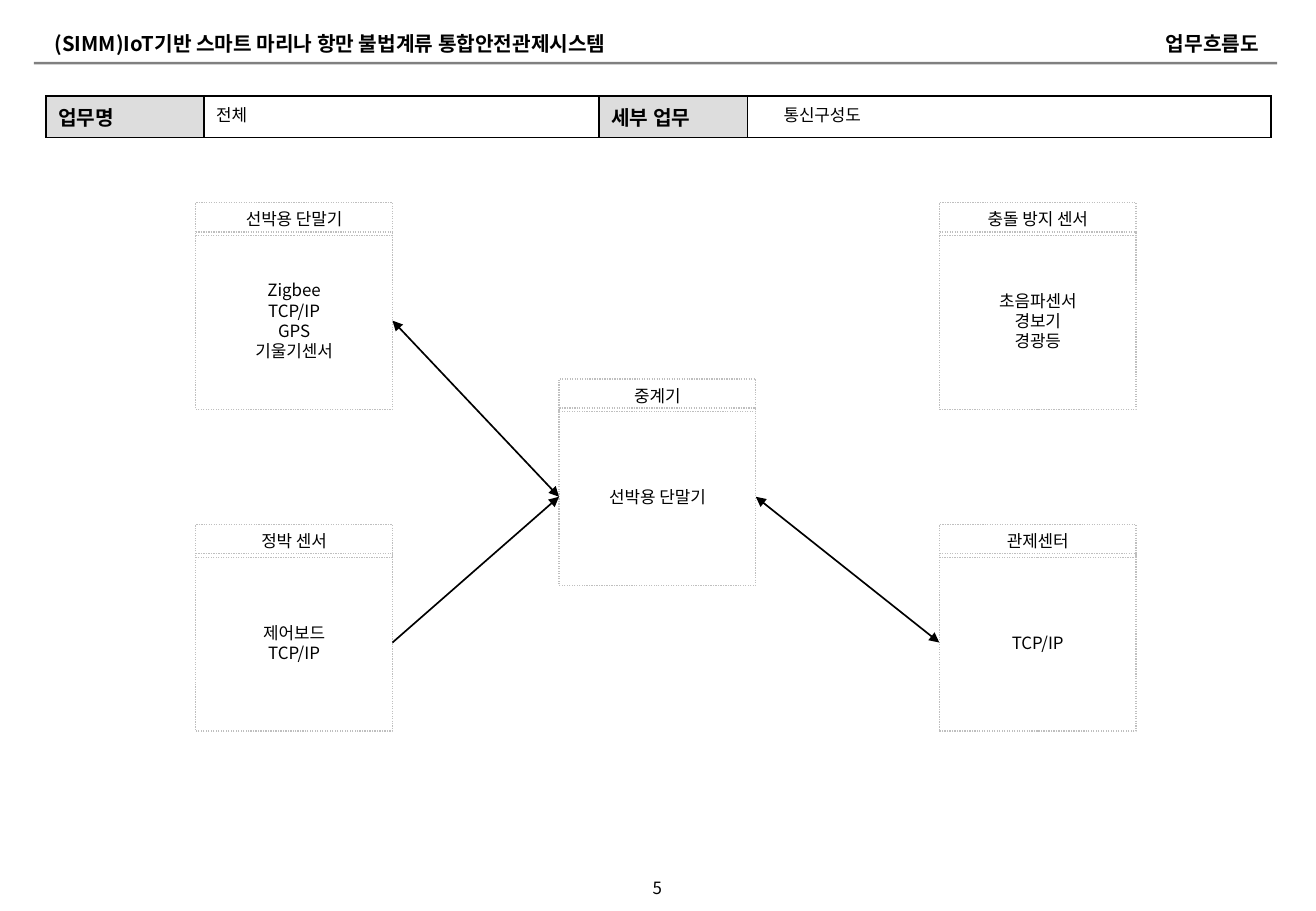
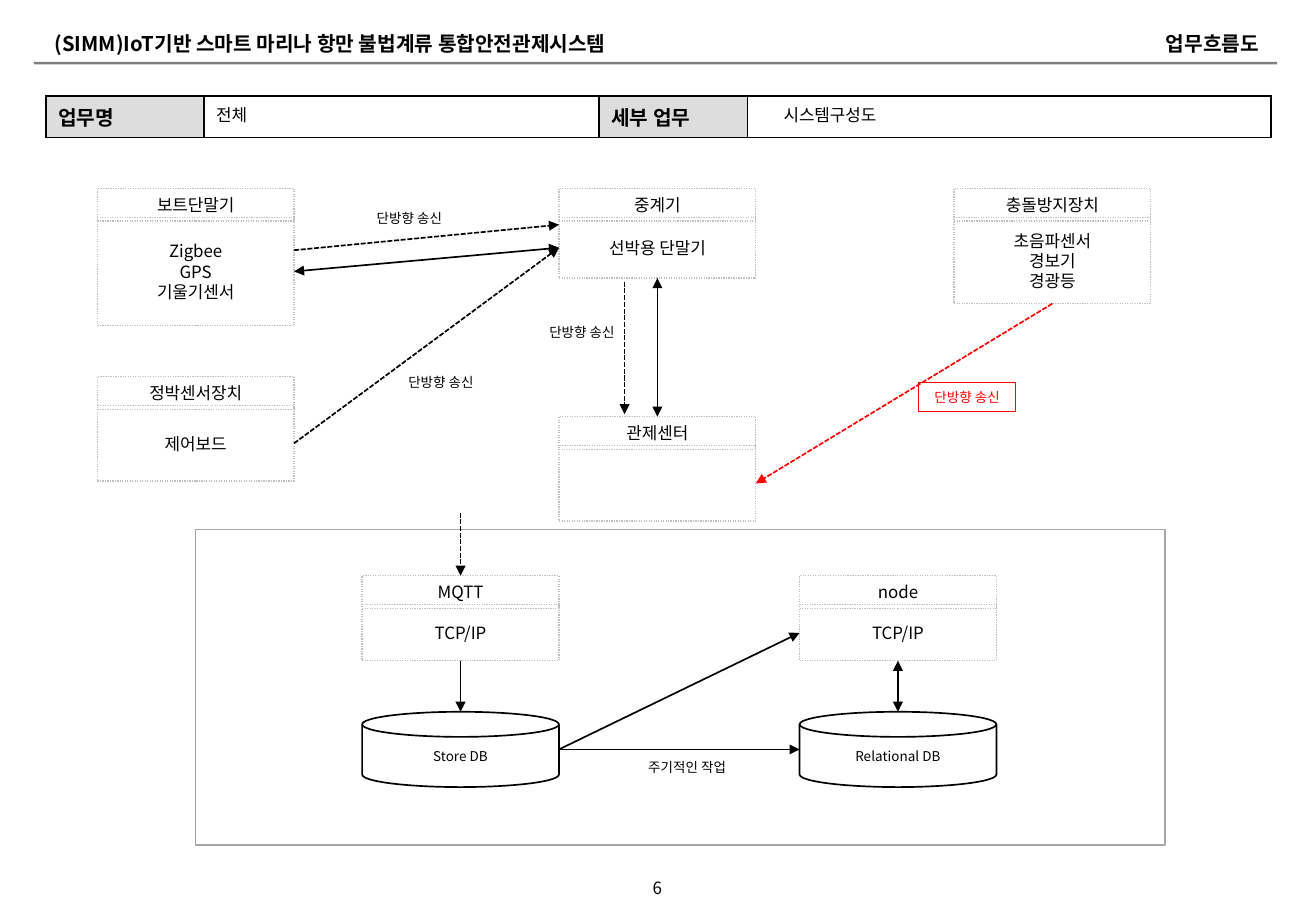
import pptx
import pptx.util
import pptx.dml.color
import pptx.enum.dml
import pptx.enum.shapes
import pptx.enum.text
import pptx.oxml
import pptx.oxml.ns
from lxml import etree

Inches, Pt = pptx.util.Inches, pptx.util.Pt
SHAPE = pptx.enum.shapes.MSO_SHAPE
DASH = pptx.enum.dml.MSO_LINE
ALIGN = pptx.enum.text.PP_ALIGN
ANCHOR = pptx.enum.text.MSO_ANCHOR
qn = pptx.oxml.ns.qn

COLORS = {"ink": "000000", "rule": "808080", "label": "DDDDDD",
          "box": "BFBFBF", "frame": "A6A6A6", "alert": "FF0000"}
FONT, LABEL_FONT = "Noto Sans CJK KR", "Arial Narrow"
W, H = 10.83, 7.5
BOX_W, HEAD_H, HEAD_STEP = 1.62, 0.27, 0.24
TOP, LEFT, BOTTOM, RIGHT = range(4)
SYSTEM = "(SIMM)IoT기반 스마트 마리나 항만 불박계류 통합안전관제시스템".replace("불박", "불법")
ONE_WAY = "단방향 송신"


def rgb(name):
    return pptx.dml.color.RGBColor.from_string(COLORS[name])


def style(p, size, color="ink", bold=False, align=ALIGN.LEFT, font=FONT):
    p.alignment = align
    p.font.size, p.font.bold, p.font.name = Pt(size), bold, font
    p.font.color.rgb = rgb(color)
    defaults = p._p.pPr.find(qn("a:defRPr"))
    etree.SubElement(defaults, qn("a:ea"), typeface=FONT)


def write(sp, lines, size=10, anchor=ANCHOR.TOP, wrap=True, **look):
    tf = sp.text_frame
    tf.word_wrap, tf.vertical_anchor = wrap, anchor
    tf.auto_size = pptx.enum.text.MSO_AUTO_SIZE.NONE
    tf.margin_left = tf.margin_right = Inches(0.1)
    tf.margin_top = tf.margin_bottom = Inches(0.05)
    tf.text = "\n".join(lines)
    for p in tf.paragraphs:
        style(p, size, **look)


def text(s, box, line, **look):
    sp = s.shapes.add_textbox(*map(Inches, box))
    write(sp, [line], **look)
    return sp


def outline(s, box, color, width=1, dash=None, kind=SHAPE.RECTANGLE):
    sp = s.shapes.add_shape(kind, *map(Inches, box))
    sp.shadow.inherit = False
    sp.fill.background()
    sp.line.color.rgb, sp.line.width = rgb(color), Pt(width)
    if dash:
        sp.line.dash_style = dash
    return sp


def node(s, x, y, body_h, title, lines):
    """A heading over a body; returns both shapes."""
    head = outline(s, (x, y, BOX_W, HEAD_H), "box", 0.75, DASH.ROUND_DOT)
    write(head, [title], anchor=ANCHOR.MIDDLE, align=ALIGN.CENTER)
    body = outline(s, (x, y + HEAD_STEP, BOX_W, body_h), "box", 0.75, DASH.ROUND_DOT)
    if lines:
        write(body, lines, anchor=ANCHOR.MIDDLE, wrap=False, align=ALIGN.CENTER)
    return head, body


def disk(s, x, y, name):
    sp = outline(s, (x, y, BOX_W, 0.62), "ink", kind=SHAPE.FLOWCHART_MAGNETIC_DISK)
    write(sp, [name], size=8, anchor=ANCHOR.MIDDLE, wrap=False, align=ALIGN.CENTER)
    return sp


def caption(s, x, y, line, w=0.8, color="ink"):
    text(s, (x, y, w, 0.24), line, size=8, wrap=False, color=color, align=ALIGN.CENTER)


def point(end):
    """Position of an end given as (x, y) inches or (shape, side)."""
    if isinstance(end[0], (int, float)):
        return Inches(end[0]), Inches(end[1])
    sp, side = end
    across = {LEFT: 0, RIGHT: 2}.get(side, 1)
    down = {TOP: 0, BOTTOM: 2}.get(side, 1)
    return sp.left + sp.width * across // 2, sp.top + sp.height * down // 2


def arrow(s, start, end, both=False, dashed=False, color="ink"):
    c = s.shapes.add_connector(pptx.enum.shapes.MSO_CONNECTOR.STRAIGHT,
                               *point(start), *point(end))
    c.line.color.rgb, c.line.width = rgb(color), Pt(1)
    if dashed:
        c.line.dash_style = DASH.SQUARE_DOT
    spPr = c._element.spPr
    ln = spPr.find(qn("a:ln"))
    for tag in ["a:headEnd", "a:tailEnd"] if both else ["a:tailEnd"]:
        etree.SubElement(ln, qn(tag), type="triangle")
    etree.SubElement(spPr, qn("a:effectLst"))


def task_table(s, box, task, detail):
    x, y, w, h = box
    table_shape = s.shapes.add_table(1, 4, *map(Inches, box))
    table = table_shape.table
    table.first_row = table.horz_banding = False
    widths = [1.3, 3.25, 1.22, 4.31]
    for col, width in zip(table.columns, widths):
        col.width = Inches(width)
    for cell, label in zip(table.rows[0].cells, ["업무명", "", "세부 업무 ", ""]):
        cell.text = label
        p = cell.text_frame.paragraphs[0]
        style(p, 12, bold=True, font=LABEL_FONT)
        p.space_before = Pt(2.4)
        tcPr = cell._tc.get_or_add_tcPr()
        for edge in ("L", "R", "T", "B"):
            ln = etree.SubElement(tcPr, qn("a:ln" + edge), w=str(Pt(1)))
            fill = etree.SubElement(ln, qn("a:solidFill"))
            etree.SubElement(fill, qn("a:srgbClr"), val=COLORS["ink"])
        if label:
            cell.fill.solid()
            cell.fill.fore_color.rgb = rgb("label")
        else:
            cell.fill.background()
    text(s, (x + widths[0], y + 0.02, 2.66, 0.27), task)
    text(s, (x + sum(widths[:3]) + 0.2, y + 0.02, 3.7, 0.27), detail)


def page(prs, number, detail):
    """Title line, rule, task table and page number of every slide."""
    s = prs.slides.add_slide(prs.slide_layouts[5])
    title = s.shapes.title
    title.left, title.top, title.width, title.height = map(Inches, (0.35, 0.21, 6.97, 0.3))
    write(title, [SYSTEM], size=12, bold=True)
    text(s, (5.34, 0.21, 5.12, 0.3), "업무흐름도", size=12, bold=True, align=ALIGN.RIGHT)
    rule = s.shapes.add_shape(SHAPE.RECTANGLE, *map(Inches, (0.28, 0.51, 10.23, 0.02)))
    rule.shadow.inherit = False
    rule.fill.solid()
    rule.fill.fore_color.rgb = rgb("rule")
    rule.line.fill.background()
    task_table(s, (0.38, 0.79, 10.08, 0.3), "전체", detail)
    text(s, (5.22, 7.18, 0.38, 0.27), str(number), wrap=False, align=ALIGN.CENTER)
    return s


def communication(s, box):
    x, y, w, h = box
    right, middle, low = x + w - BOX_W, x + 2.99, y + 2.65
    body_h = h - 2.65 - HEAD_STEP
    _, boat = node(s, x, y, body_h, "선박용 단말기",
                   ["Zigbee", "TCP/IP", "GPS", "기울기센서"])
    node(s, right, y, body_h, "충돌 방지 센서", ["초음파센서", "경보기", "경광등"])
    _, mooring = node(s, x, low, body_h, "정박 센서", ["제어보드", "TCP/IP"])
    _, center = node(s, right, low, body_h, "관제센터", ["TCP/IP"])
    _, relay = node(s, middle, y + 1.45, body_h, "중계기", ["선박용 단말기"])
    arrow(s, (boat, RIGHT), (relay, LEFT), both=True)
    arrow(s, (mooring, RIGHT), (relay, LEFT))
    arrow(s, (relay, RIGHT), (center, LEFT), both=True)


def devices(s, box):
    x, y, w, h = box
    middle, right = x + 3.8, x + w - BOX_W
    _, boat = node(s, x, y, 0.89, "보트단말기", ["Zigbee", "GPS", "기울기센서"])
    _, crash = node(s, right, y, 0.71, "충돌방지장치", ["초음파센서", "경보기", "경광등"])
    _, mooring = node(s, x, y + 1.55, 0.62, "정박센서장치", ["제어보드"])
    center_head, center = node(s, middle, y + 1.88, 0.62, "관제센터", [])
    _, relay = node(s, middle, y, 0.5, "중계기", ["선박용 단말기"])
    # Two-way links
    arrow(s, (boat, RIGHT), (relay, LEFT), both=True)
    arrow(s, (relay, BOTTOM), (center_head, TOP), both=True)
    # One-way links
    arrow(s, (crash, BOTTOM), (center, RIGHT), dashed=True, color="alert")
    arrow(s, (mooring, RIGHT), (relay, LEFT), dashed=True)
    arrow(s, (middle + 0.54, y + 0.77), (middle + 0.54, y + 1.86), dashed=True)
    arrow(s, (x + BOX_W, y + 0.51), (middle, y + 0.3), dashed=True)
    for dx, dy in [(2.43, 1.48), (2.17, 0.13), (3.59, 1.07)]:
        caption(s, x + dx, y + dy, ONE_WAY)
    alert = outline(s, (x + 6.76, y + 1.6, 0.8, 0.24), "alert", 0.75)
    write(alert, [ONE_WAY], size=8, wrap=False, color="alert", align=ALIGN.CENTER)


def storage(s, box):
    x, y, w, h = box
    outline(s, box, "frame")
    left, right = x + 1.37, x + 4.97
    broker_head, broker = node(s, left, y + 0.38, 0.46, "MQTT", ["TCP/IP"])
    _, server = node(s, right, y + 0.38, 0.46, "node", ["TCP/IP"])
    records = disk(s, left, y + 1.5, "Store DB")
    tables = disk(s, right, y + 1.5, "Relational DB")
    arrow(s, (left + BOX_W / 2, y - 0.14), (broker_head, TOP), dashed=True)
    arrow(s, (broker, BOTTOM), (records, TOP))
    arrow(s, (server, BOTTOM), (tables, TOP), both=True)
    arrow(s, (records, RIGHT), (server, LEFT))
    arrow(s, (records, RIGHT), (tables, LEFT))
    caption(s, x + 3.58, y + 1.84, "주기적인 작업", w=0.93)


prs = pptx.Presentation()
prs.slide_width, prs.slide_height = Inches(W), Inches(H)
communication(page(prs, 5, "통신구성도"), (1.61, 1.67, 7.74, 4.35))
s = page(prs, 6, "시스템구성도")
devices(s, (0.8, 1.55, 8.67, 2.74))
storage(s, (1.61, 4.36, 7.98, 2.6))
prs.save("out.pptx")
